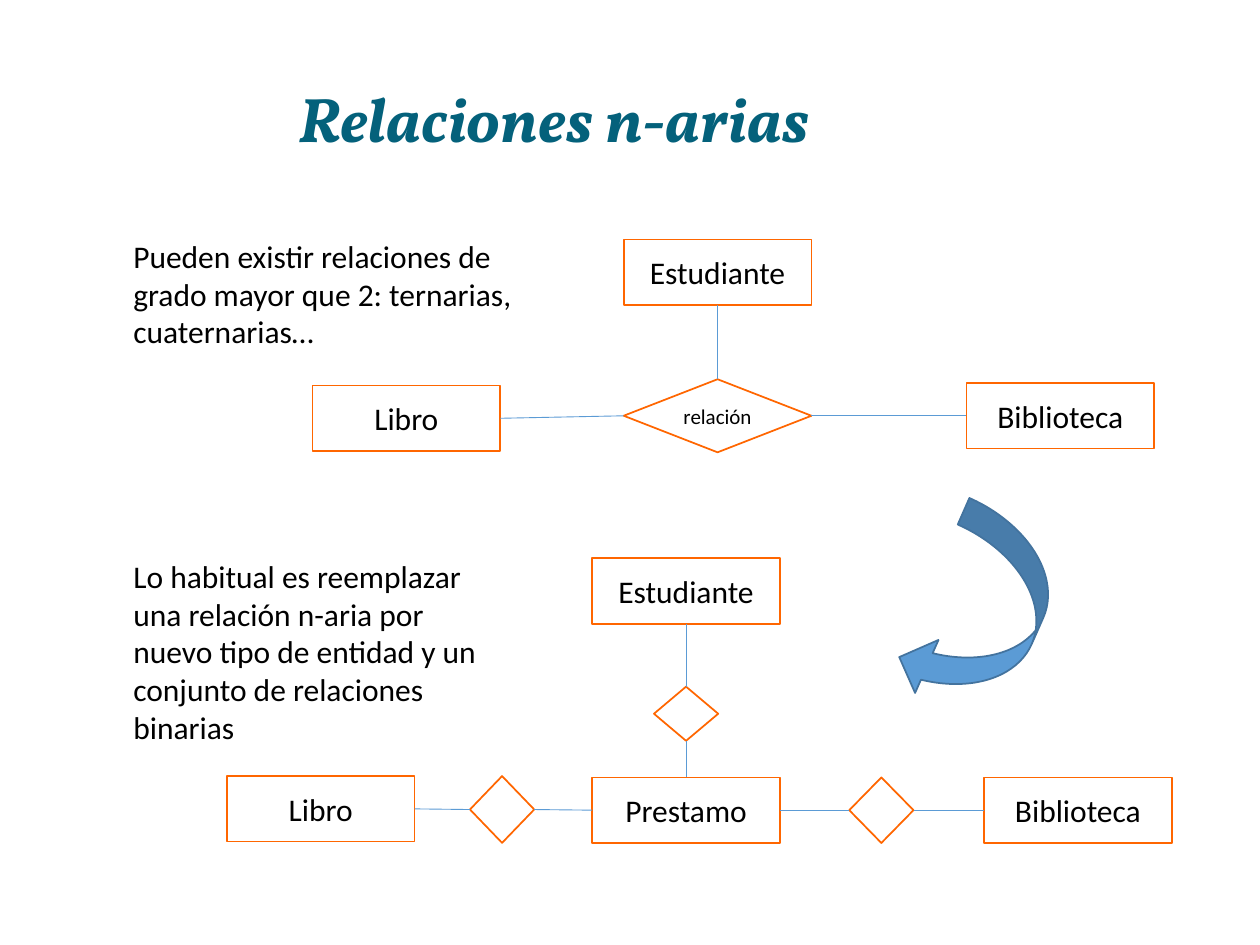
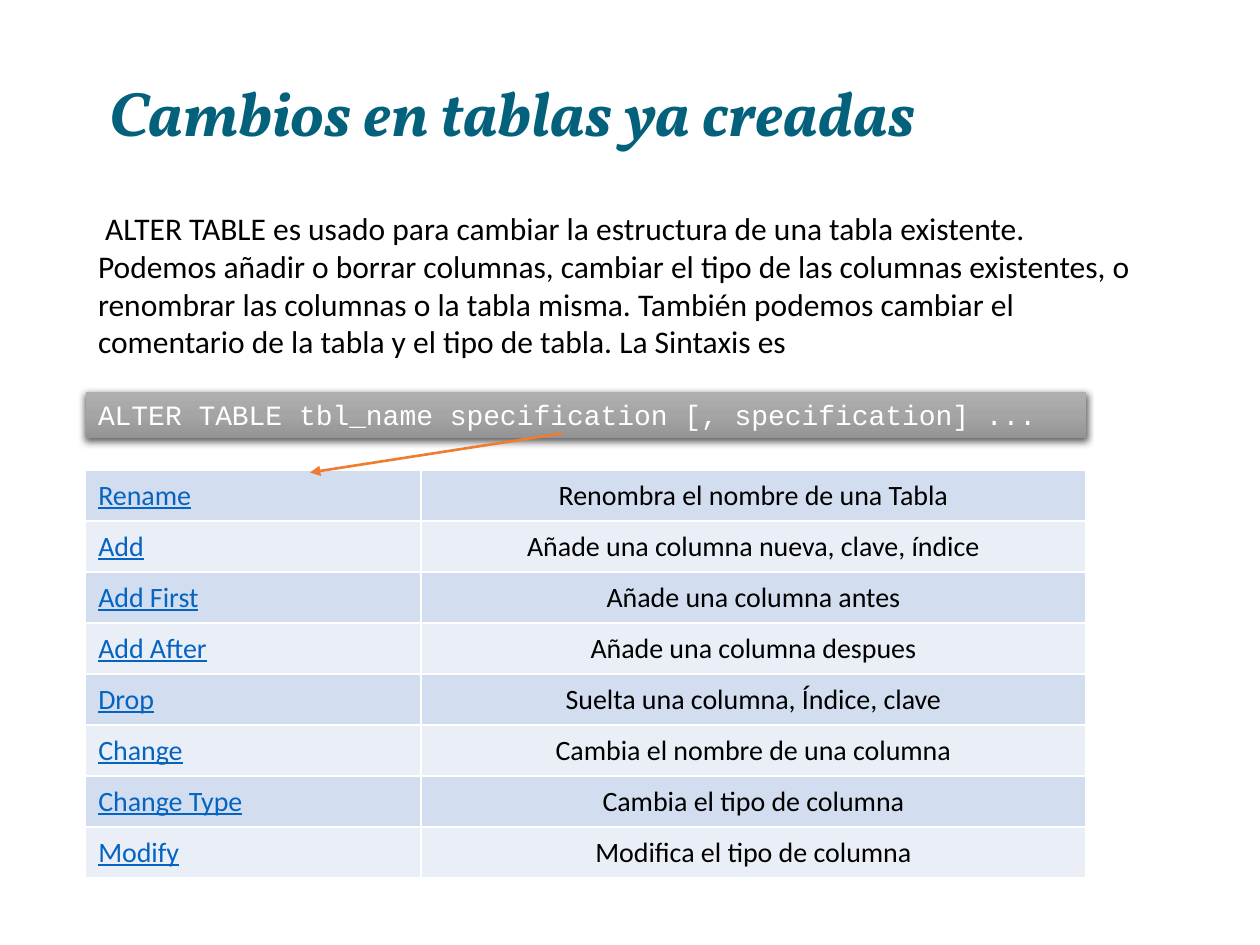
"""Builds two database slides: n-ary relationships and changes to existing tables."""
import copy
from dataclasses import dataclass

import lxml.etree
import pptx
import pptx.dml.color
import pptx.enum.shapes
import pptx.enum.text
import pptx.oxml.ns
import pptx.util

Inches = pptx.util.Inches
Pt = pptx.util.Pt
RGB = pptx.dml.color.RGBColor.from_string
SHAPE = pptx.enum.shapes.MSO_SHAPE
STRAIGHT = pptx.enum.shapes.MSO_CONNECTOR.STRAIGHT
ALIGN = pptx.enum.text.PP_ALIGN
ANCHOR = pptx.enum.text.MSO_ANCHOR
GROW = pptx.enum.text.MSO_AUTO_SIZE.SHAPE_TO_FIT_TEXT
qn = pptx.oxml.ns.qn
SubElement = lxml.etree.SubElement


@dataclass(frozen=True)
class Theme:
    title_font: str = "Vollkorn"
    body_font: str = "Calibri"
    code_font: str = "Courier New"
    title: str = "04617B"
    text: str = "000000"
    light: str = "FFFFFF"
    outline: str = "FF6600"
    link: str = "5B9BD5"
    arrow_edge: str = "43739E"
    pointer: str = "ED7D31"
    keyword: str = "0563C1"
    code_band: tuple = ((0, "AFAFAF"), (0.5, "A5A5A5"), (1, "939393"))
    rows: tuple = ("D2DEEF", "EAEFF7")
    title_size: int = 36
    body_size: int = 18
    table_size: int = 16
    small_size: int = 12


theme = Theme()
TOP, LEFT, BOTTOM, RIGHT = range(4)


def write(frame, text, size=theme.body_size, color=theme.text, font=theme.body_font,
          align=ALIGN.LEFT, anchor=ANCHOR.TOP):
    frame.word_wrap = True
    frame.vertical_anchor = anchor
    paragraph = frame.paragraphs[0]
    paragraph.text = text
    paragraph.alignment = align
    paragraph.font.name = font
    paragraph.font.size = Pt(size)
    paragraph.font.color.rgb = RGB(color)
    return paragraph


def draw_line(slide, start, end, color, width):
    line = slide.shapes.add_connector(STRAIGHT, *map(Inches, start + end))
    line.line.color.rgb = RGB(color)
    line.line.width = Pt(width)
    SubElement(line._element.spPr, qn("a:effectLst"))
    return line


deck = pptx.Presentation()
deck.slide_width, deck.slide_height = Inches(10), Inches(7.5)

pages = []
for heading, place, paragraphs in (
    ("Relaciones n-arias", (0.89, 0.42, 7.01, 1.02), (
        ((0.96, 1.83, 3.3, 1.01),
         "Pueden existir relaciones de grado mayor que 2: ternarias, cuaternarias…"),
        ((0.96, 4.37, 3.18, 1.31),
         "Lo habitual es reemplazar una relación n-aria por nuevo tipo de entidad "
         "y un conjunto de relaciones binarias"))),
    ("Cambios en tablas ya creadas", (0.22, 0.37, 7.69, 1.02), (
        ((0.68, 1.61, 8.39, 1.31),
         " ALTER TABLE es usado para cambiar la estructura de una tabla existente. "
         "Podemos añadir o borrar columnas, cambiar el tipo de las columnas existentes, "
         "o renombrar las columnas o la tabla misma. También podemos cambiar el "
         "comentario de la tabla y el tipo de tabla. La Sintaxis es"),)),
):
    page = deck.slides.add_slide(deck.slide_layouts[6])
    title = write(page.shapes.add_textbox(*map(Inches, place)).text_frame, heading,
                  theme.title_size, theme.title, theme.title_font, ALIGN.CENTER, ANCHOR.MIDDLE)
    title.font.bold = title.font.italic = True
    for area, body in paragraphs:
        frame = page.shapes.add_textbox(*map(Inches, area)).text_frame
        write(frame, body)
        frame.auto_size = GROW
    pages.append(page)
relations, changes = pages

entity_size = (1.49, 0.52)
nodes = {}
for key, kind, label, position, size in (
    ("student", SHAPE.RECTANGLE, "Estudiante", (4.95, 1.9), entity_size),
    ("book", SHAPE.RECTANGLE, "Libro", (2.48, 3.06), entity_size),
    ("library", SHAPE.RECTANGLE, "Biblioteca", (7.67, 3.04), entity_size),
    ("ternary", SHAPE.DIAMOND, "relación", (4.95, 3.01), (1.49, 0.58)),
    ("new student", SHAPE.RECTANGLE, "Estudiante", (4.7, 4.43), entity_size),
    ("new book", SHAPE.RECTANGLE, "Libro", (1.8, 6.16), entity_size),
    ("new library", SHAPE.RECTANGLE, "Biblioteca", (7.81, 6.17), entity_size),
    ("loan", SHAPE.RECTANGLE, "Prestamo", (4.7, 6.17), entity_size),
    ("book loan", SHAPE.DIAMOND, "", (3.73, 6.16), (0.51, 0.53)),
    ("library loan", SHAPE.DIAMOND, "", (6.74, 6.17), (0.51, 0.52)),
    ("student loan", SHAPE.DIAMOND, "", (5.19, 5.45), (0.51, 0.43)),
):
    node = relations.shapes.add_shape(kind, *map(Inches, position + size))
    node.shadow.inherit = False
    node.fill.background()
    node.line.color.rgb = RGB(theme.outline)
    node.line.width = Pt(1)
    if label:
        write(node.text_frame, label,
              theme.small_size if kind == SHAPE.DIAMOND else theme.body_size,
              align=ALIGN.CENTER, anchor=ANCHOR.MIDDLE)
    nodes[key] = node

for origin, origin_side, target, target_side in (
    ("book", RIGHT, "ternary", LEFT),
    ("student", BOTTOM, "ternary", TOP),
    ("ternary", RIGHT, "library", LEFT),
    ("new book", RIGHT, "book loan", LEFT),
    ("book loan", RIGHT, "loan", LEFT),
    ("loan", RIGHT, "library loan", LEFT),
    ("library loan", RIGHT, "new library", LEFT),
    ("new student", BOTTOM, "student loan", TOP),
    ("student loan", BOTTOM, "loan", TOP),
):
    link = draw_line(relations, (0, 0), (1, 1), theme.link, 0.5)
    link.begin_connect(nodes[origin], origin_side)
    link.end_connect(nodes[target], target_side)

replacement = relations.shapes.add_shape(
    SHAPE.CURVED_LEFT_ARROW, *map(Inches, (7.33, 4.07, 0.92, 1.61)))
replacement.rotation = 23.8
replacement.shadow.inherit = False
replacement.fill.solid()
replacement.fill.fore_color.rgb = RGB(theme.link)
replacement.line.color.rgb = RGB(theme.arrow_edge)
replacement.line.width = Pt(1)

syntax = changes.shapes.add_shape(SHAPE.RECTANGLE, *map(Inches, (0.68, 3.11, 7.94, 0.37)))
syntax.line.fill.background()
syntax.fill.gradient()
syntax.fill.gradient_angle = 270
stops = syntax._element.spPr.find(".//" + qn("a:gsLst"))
stops.insert(1, copy.deepcopy(stops[0]))
for stop, (position, shade) in zip(syntax.fill.gradient_stops, theme.code_band):
    stop.position = position
    stop.color.rgb = RGB(shade)
syntax.shadow.inherit = False
shadow = SubElement(syntax._element.spPr.find(qn("a:effectLst")), qn("a:outerShdw"),
                    blurRad=str(Pt(4.5)), dist=str(Pt(1.5)), dir="5400000",
                    algn="ctr", rotWithShape="0")
shadow_color = SubElement(shadow, qn("a:srgbClr"), val=theme.text)
SubElement(shadow_color, qn("a:alpha"), val="63000")
write(syntax.text_frame, "ALTER TABLE tbl_name specification [, specification] ...",
      theme.table_size, theme.light, theme.code_font)
syntax.text_frame.auto_size = GROW

specifications = (
    ("Rename", "Renombra el nombre de una Tabla"),
    ("Add", "Añade una columna nueva, clave, índice"),
    ("Add First", "Añade una columna antes"),
    ("Add After", "Añade una columna despues"),
    ("Drop", "Suelta una columna, Índice, clave"),
    ("Change", "Cambia el nombre de una columna"),
    ("Change Type", "Cambia el tipo de columna"),
    ("Modify", "Modifica el tipo de columna"),
)
table = changes.shapes.add_table(
    len(specifications), 2, *map(Inches, (0.68, 3.73, 7.94, 3.24))).table
table.first_row = table.horz_banding = False
table.columns[0].width, table.columns[1].width = Inches(2.66), Inches(5.28)
for row, entry in enumerate(specifications):
    for column, text in enumerate(entry):
        cell = table.cell(row, column)
        cell.vertical_anchor = ANCHOR.MIDDLE
        cell.fill.solid()
        cell.fill.fore_color.rgb = RGB(theme.rows[row % 2])
        is_keyword = column == 0
        content = write(cell.text_frame, text, theme.table_size,
                        theme.keyword if is_keyword else theme.text,
                        align=ALIGN.LEFT if is_keyword else ALIGN.CENTER,
                        anchor=ANCHOR.MIDDLE)
        content.font.underline = is_keyword
        properties = cell._tc.get_or_add_tcPr()
        for index, side in enumerate(("lnL", "lnR", "lnT", "lnB")):
            border = SubElement(properties, qn("a:" + side), w=str(Pt(1)))
            SubElement(SubElement(border, qn("a:solidFill")), qn("a:srgbClr"), val=theme.light)
            properties.insert(index, border)

pointer = draw_line(changes, (4.46, 3.44), (2.46, 3.75), theme.pointer, 1.5)
SubElement(pointer.line._get_or_add_ln(), qn("a:tailEnd"), type="triangle")

deck.save("out.pptx")
